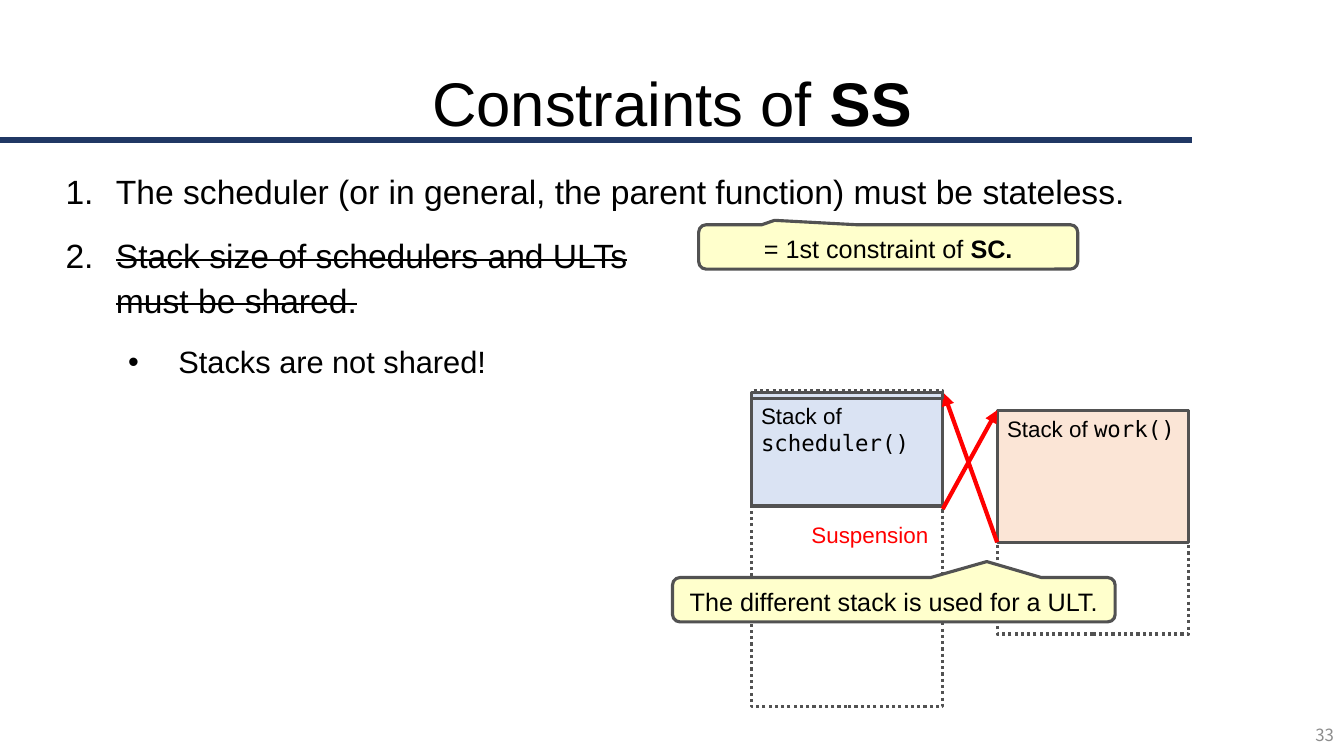
from pptx import Presentation
from pptx.dml.color import RGBColor
from pptx.enum.dml import MSO_LINE
from pptx.enum.shapes import MSO_CONNECTOR, MSO_SHAPE
from pptx.enum.text import MSO_ANCHOR, MSO_AUTO_SIZE, PP_ALIGN
from pptx.oxml.ns import qn
from pptx.util import Inches, Pt
from lxml import etree

BLACK = RGBColor(0x00, 0x00, 0x00)
NAVY = RGBColor(0x20, 0x38, 0x64)
GRAY = RGBColor(0x52, 0x52, 0x52)
PALE_GRAY = RGBColor(0x8C, 0x8C, 0x8C)
YELLOW = RGBColor(0xFF, 0xFF, 0xCC)
BLUE = RGBColor(0xDA, 0xE3, 0xF3)
ORANGE = RGBColor(0xFB, 0xE5, 0xD6)
RED = RGBColor(0xFF, 0x00, 0x00)
SANS, MONO, NUMBER_FONT = "Arial", "DejaVu Sans Mono", "Noto Sans CJK JP"
RECT, CALLOUT = MSO_SHAPE.RECTANGLE, MSO_SHAPE.ROUNDED_RECTANGULAR_CALLOUT
STRAIGHT, DOTTED = MSO_CONNECTOR.STRAIGHT, MSO_LINE.ROUND_DOT
TOP, MIDDLE = MSO_ANCHOR.TOP, MSO_ANCHOR.MIDDLE
LEFT, CENTER, RIGHT = PP_ALIGN.LEFT, PP_ALIGN.CENTER, PP_ALIGN.RIGHT
NO_FIT = MSO_AUTO_SIZE.NONE


def place(sp, x, y, w, h):
    sp.left, sp.top, sp.width, sp.height = map(Inches, (x, y, w, h))


def format_run(r, size, color=BLACK, font=SANS, bold=False):
    r.font.size, r.font.name, r.font.bold = Pt(size), font, bold
    r.font.color.rgb = color


def write(sp, pieces, size, color=BLACK, align=LEFT, anchor=TOP, spacing=None):
    """Fill a shape with one paragraph of (text, font, bold) pieces."""
    tf = sp.text_frame
    tf.word_wrap, tf.auto_size, tf.vertical_anchor = True, NO_FIT, anchor
    p = tf.paragraphs[0]
    p.alignment = align
    if spacing:
        p.line_spacing = spacing
    for text, font, bold in pieces:
        r = p.add_run()
        r.text = text
        format_run(r, size, color, font, bold)


def add_text(s, box, pieces, size, **options):
    sp = s.shapes.add_textbox(*map(Inches, box))
    write(sp, pieces, size, **options)


def add_box(s, box, fill=None, kind=RECT, dash=None):
    sp = s.shapes.add_shape(kind, *map(Inches, box))
    sp.shadow.inherit = False
    if fill is None:
        sp.fill.background()
    else:
        sp.fill.solid()
        sp.fill.fore_color.rgb = fill
    sp.line.color.rgb, sp.line.width = GRAY, Pt(2.25)
    if dash is not None:
        sp.line.dash_style = dash
    return sp


def add_line(s, x1, y1, x2, y2, color, width, arrow=False):
    line = s.shapes.add_connector(STRAIGHT, *map(Inches, (x1, y1, x2, y2)))
    line.line.color.rgb, line.line.width = color, Pt(width)
    if arrow:
        etree.SubElement(line.line._get_or_add_ln(), qn("a:tailEnd"), type="triangle")
    etree.SubElement(line._element.spPr, qn("a:effectLst"))


def add_callout(s, box, tip, pieces):
    sp = add_box(s, box, YELLOW, CALLOUT)
    sp.adjustments[0], sp.adjustments[1] = tip
    write(sp, pieces, 18, align=CENTER, anchor=MIDDLE, spacing=1.1)


def add_heading(s, x, y, w, h):
    add_line(s, x, y + 0.87, x + 11.82, y + 0.87, NAVY, 4)
    title = s.shapes.title
    place(title, x, y, w, h)
    write(title, [("Constraints of ", SANS, False), ("SS", SANS, True)], 44,
          align=CENTER, anchor=MIDDLE)


def add_constraints(s, x, y, w, h):
    body = s.placeholders[1]
    place(body, x, y, w, h)
    tf = body.text_frame
    tf.word_wrap, tf.auto_size, tf.vertical_anchor = True, NO_FIT, TOP
    # text, level, left margin, size, struck out
    items = [
        ("The scheduler (or in general, the parent function) must be stateless.",
         0, 0.5, 24, False),
        ("Stack size of schedulers and ULTs\vmust be shared.", 0, 0.5, 24, True),
        ("Stacks are not shared!", 1, 1.12, 22, False),
    ]
    for i, (text, level, margin, size, struck) in enumerate(items):
        p = tf.add_paragraph() if i else tf.paragraphs[0]
        p.text, p.level, p.alignment = text, level, LEFT
        pPr = p._p.get_or_add_pPr()
        pPr.set("marL", str(Inches(margin)))
        pPr.set("indent", str(Inches(-0.5)))
        etree.SubElement(pPr, qn("a:buFont"), typeface=SANS)
        if level:
            etree.SubElement(pPr, qn("a:buChar"), char="•")
        else:
            etree.SubElement(pPr, qn("a:buAutoNum"), type="arabicPeriod")
        p.line_spacing, p.space_before = 1.1, Pt(14 if i else 0)
        for r in p.runs:
            format_run(r, size)
            if struck:
                r._r.get_or_add_rPr().set("strike", "sngStrike")


def add_stacks(s, x, y, w):
    work_x = x + 2.44
    # Used parts of both stacks
    add_box(s, (x, y + 0.02, w, 1.12), BLUE)
    work = add_box(s, (work_x, y + 0.19, w, 1.31), ORANGE)
    write(work, [("Stack of ", SANS, False), ("work()", MONO, False)], 16)
    # Reserved parts
    add_box(s, (x, y, w, 3.13), dash=DOTTED)
    add_box(s, (work_x, y + 0.19, w, 2.22), dash=DOTTED)
    # Switches between the stacks
    add_line(s, x + w, y + 1.17, work_x, y + 0.19, RED, 3, arrow=True)
    add_line(s, work_x, y + 1.5, x + w + 0.01, y + 0.02, RED, 3, arrow=True)
    add_text(s, (x + 0.5, y + 1.24, 1.45, 0.37),
             [("Suspension", SANS, False)], 16, color=RED)
    # Top frame and label of the scheduler stack
    add_box(s, (x, y + 0.01, w, 0.06), BLUE)
    add_text(s, (x, y + 0.06, 1.82, 0.64),
             [("Stack of ", SANS, False), ("scheduler()", MONO, False)], 16)


def main():
    prs = Presentation()
    prs.slide_width, prs.slide_height = Inches(13.33), Inches(7.5)
    s = prs.slides.add_slide(prs.slide_layouts[1])
    add_heading(s, 0, 0.52, 13.33, 0.99)
    add_constraints(s, 0.55, 1.61, 12.26, 5.15)
    add_text(s, (10.33, 7.09, 3, 0.4), [("33", NUMBER_FONT, False)], 12,
             color=PALE_GRAY, align=RIGHT, anchor=MIDDLE)
    add_callout(s, (6.93, 2.23, 3.76, 0.44), (-0.3, -0.6),
                [("= 1st constraint of ", SANS, False), ("SC.", SANS, True)])
    add_stacks(s, 7.45, 3.88, 1.9)
    add_callout(s, (6.67, 5.73, 4.39, 0.44), (0.21, -0.86),
                [("The different stack is used for a ULT.", SANS, False)])
    prs.save("out.pptx")


if __name__ == "__main__":
    main()
